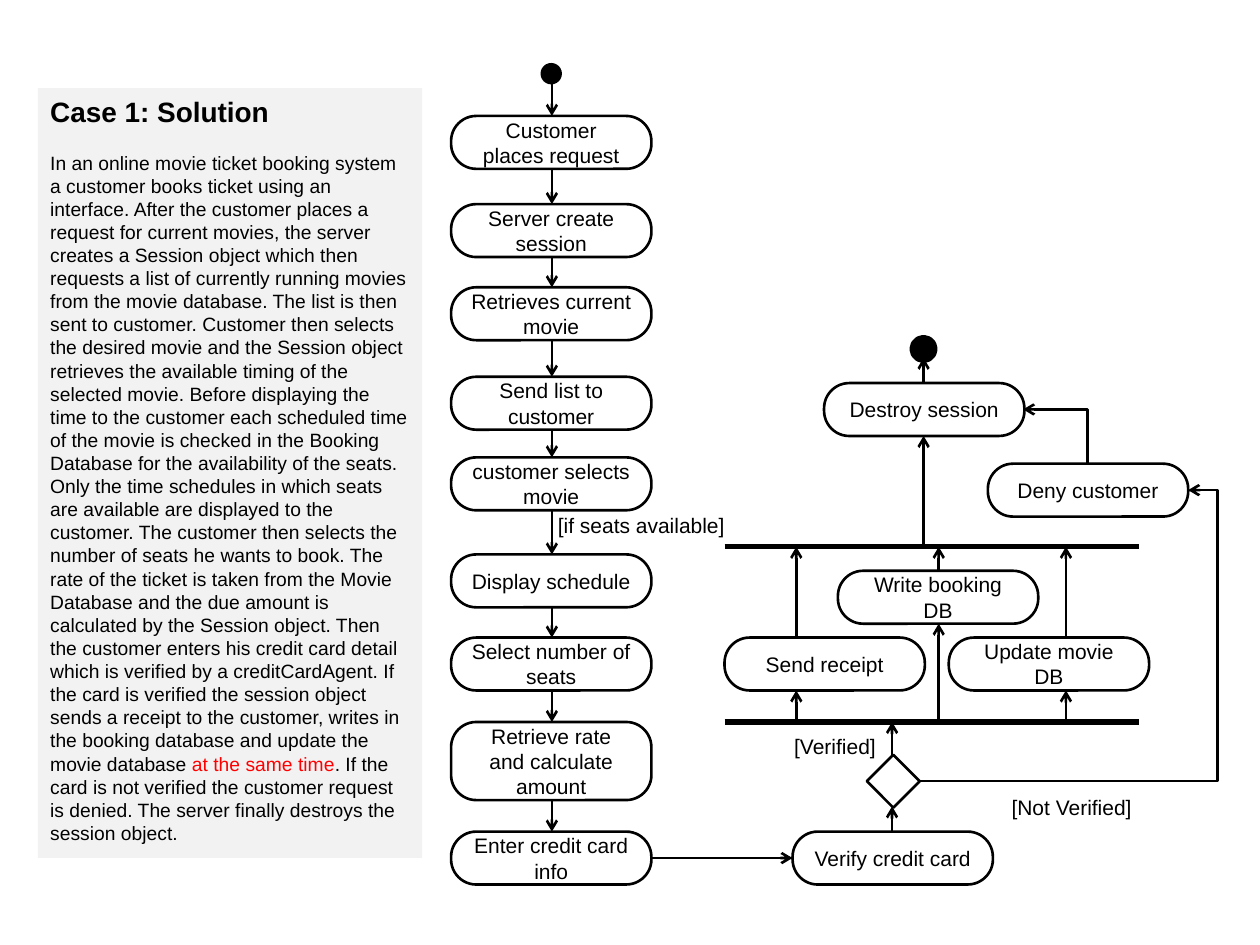
from itertools import pairwise

from lxml import etree
from pptx import Presentation
from pptx.dml.color import RGBColor
from pptx.enum.shapes import MSO_CONNECTOR as CONN, MSO_SHAPE as SHAPE
from pptx.enum.text import MSO_ANCHOR as ANCHOR, PP_ALIGN as ALIGN
from pptx.oxml.ns import qn
from pptx.util import Inches, Pt

BLACK = RGBColor(0, 0, 0)
RED = RGBColor(255, 0, 0)
PANEL = RGBColor(0xF2, 0xF2, 0xF2)
STEP_W, STEP_H, RADIUS = 1.59, 0.42, 0.2
FLOW_X, FLOW_MID = 3.58, 4.38
FORK_Y, JOIN_Y = 5.73, 4.34

FLOW = [
    ("Customer\nplaces request", 0.92, STEP_H),
    ("Server create session", 1.62, STEP_H),
    ("Retrieves current movie", 2.28, STEP_H),
    ("Send list to customer", 2.99, STEP_H),
    ("customer selects movie", 3.63, STEP_H),
    ("Display schedule", 4.4, STEP_H),
    ("Select number of seats", 5.06, STEP_H),
    ("Retrieve rate and calculate amount", FORK_Y, 0.62),
    ("Enter credit card info", 6.6, STEP_H),
]
BRANCHES = [
    ("Verify credit card", 6.29, 6.6),
    ("Send receipt", 5.75, 5.06),
    ("Write booking DB", 6.65, 4.53),
    ("Update movie DB", 7.53, 5.06),
    ("Deny customer", 7.84, 3.68),
    ("Destroy session", 6.54, 3.04),
]
PARALLEL = [(6.32, 5.06), (7.45, 4.53), (8.46, 5.06)]
STORY = [
    "In an online movie ticket booking system a customer books ticket using an interface.",
    "After the customer places a request for current movies, the server creates a Session "
    "object which then requests a list of currently running movies from the movie database.",
    "The list is then sent to customer.",
    "Customer then selects the desired movie and the Session object retrieves the available "
    "timing of the selected movie.",
    "Before displaying the time to the customer each scheduled time of the movie is checked "
    "in the Booking Database for the availability of the seats.",
    "Only the time schedules in which seats are available are displayed to the customer.",
    "The customer then selects the number of seats he wants to book.",
    "The rate of the ticket is taken from the Movie Database and the due amount is "
    "calculated by the Session object.",
    "Then the customer enters his credit card detail which is verified by a creditCardAgent.",
    "If the card is verified the session object sends a receipt to the customer, writes in "
    "the booking database and update the movie database ",
]
ENDING = (
    ". If the card is not verified the customer request is denied. "
    "The server finally destroys the session object."
)


def add_text(p, text, size=12, color=BLACK, bold=False, align=ALIGN.LEFT):
    """Append a formatted run to a paragraph."""
    p.alignment = align
    r = p.add_run()
    r.text = text
    r.font.name = "Arial"
    r.font.size = Pt(size)
    r.font.bold = bold
    r.font.color.rgb = color


def add_shape(s, kind, x, y, w, h, fill=None, line=None):
    """Add a preset shape with an optional fill and black outline."""
    sp = s.shapes.add_shape(kind, Inches(x), Inches(y), Inches(w), Inches(h))
    sp.shadow.inherit = False
    if fill is None:
        sp.fill.background()
    else:
        sp.fill.solid()
        sp.fill.fore_color.rgb = fill
    if line is None:
        sp.line.fill.background()
    else:
        sp.line.color.rgb = BLACK
        sp.line.width = Pt(line)
    return sp


def add_step(s, text, x, y, h=STEP_H):
    """Add a rounded activity box with centred text."""
    sp = add_shape(s, SHAPE.ROUNDED_RECTANGLE, x, y, STEP_W, h, line=1.5)
    sp.adjustments[0] = RADIUS / h
    tf = sp.text_frame
    tf.word_wrap = True
    tf.vertical_anchor = ANCHOR.MIDDLE
    for i, part in enumerate(text.split("\n")):
        p = tf.add_paragraph() if i else tf.paragraphs[0]
        add_text(p, part, align=ALIGN.CENTER)


def add_line(s, x1, y1, x2, y2, width=1.5, arrow=True, kind=CONN.STRAIGHT):
    """Add a black connector, with an open arrowhead by default."""
    c = s.shapes.add_connector(kind, Inches(x1), Inches(y1), Inches(x2), Inches(y2))
    c.line.color.rgb = BLACK
    c.line.width = Pt(width)
    if arrow:
        etree.SubElement(c.line._get_or_add_ln(), qn("a:tailEnd"), type="arrow")
    etree.SubElement(c._element.spPr, qn("a:effectLst"))
    return c


def add_elbow(s, x, y, w, h, preset, rot=0, bend=None):
    """Add an arrow with square bends that rises across its frame."""
    c = add_line(s, x, y + h, x + w, y, kind=CONN.ELBOW)
    geom = c._element.spPr.find(qn("a:prstGeom"))
    geom.set("prst", preset)
    if rot:
        c._element.spPr.find(qn("a:xfrm")).set("rot", str(rot * 60000))
    if bend is not None:
        av = geom.find(qn("a:avLst"))
        if av is None:
            av = etree.SubElement(geom, qn("a:avLst"))
        etree.SubElement(av, qn("a:gd"), name="adj1", fmla=f"val {round(bend * 100000)}")


def add_label(s, text, x, y, w, align=ALIGN.LEFT):
    """Add a guard label."""
    tf = s.shapes.add_textbox(Inches(x), Inches(y), Inches(w), Inches(0.3)).text_frame
    tf.word_wrap = True
    add_text(tf.paragraphs[0], text, align=align)


def add_panel(s):
    """Add the grey panel with the heading and the case text."""
    tf = add_shape(s, SHAPE.RECTANGLE, 0.3, 0.7, 3.05, 6.11, fill=PANEL).text_frame
    tf.word_wrap = True
    tf.vertical_anchor = ANCHOR.TOP
    add_text(tf.paragraphs[0], "Case 1: Solution", size=16, bold=True)
    p = tf.add_paragraph()
    p.space_before = Pt(13)
    add_text(p, " ".join(STORY), size=11)
    add_text(p, "at the same time", size=11, color=RED)
    add_text(p, ENDING, size=11)


def add_flow(s):
    """Add the start node and the main column of activities."""
    add_shape(s, SHAPE.OVAL, 4.29, 0.5, 0.17, 0.17, fill=BLACK)
    add_line(s, FLOW_MID, 0.67, FLOW_MID, FLOW[0][1])
    for text, y, h in FLOW:
        add_step(s, text, FLOW_X, y, h)
    for (_, y, h), (_, below, _) in pairwise(FLOW):
        add_line(s, FLOW_MID, y + h, FLOW_MID, below)
    add_label(s, "[if seats available]", 4.33, 4.02, 1.67)


def add_branches(s):
    """Add the card check, the parallel activities and the end node."""
    for step in BRANCHES:
        add_step(s, *step)
    add_line(s, FLOW_X + STEP_W, 6.81, 6.29, 6.81)
    add_shape(s, SHAPE.DIAMOND, 6.88, 5.99, 0.42, 0.42, line=1.5)
    add_line(s, 7.08, 6.6, 7.08, 6.4)
    add_line(s, 7.08, 5.99, 7.08, FORK_Y)
    for y in (FORK_Y, JOIN_Y):
        add_line(s, 5.75, y, 9.04, y, width=3, arrow=False)
    for x, y in PARALLEL:
        add_line(s, x, FORK_Y, x, y + STEP_H)
        add_line(s, x, y, x, JOIN_Y)
    add_line(s, 7.33, JOIN_Y, 7.33, 3.46)
    add_elbow(s, 7.29, 3.89, 2.14, 2.31, "bentConnector3", bend=1.11)
    add_elbow(s, 8.16, 3.21, 0.43, 0.51, "bentConnector2", rot=270)
    add_shape(s, SHAPE.OVAL, 7.26, 2.7, 0.14, 0.14, fill=BLACK, line=6)
    add_line(s, 7.33, 3.04, 7.33, 2.84)
    add_label(s, "[Verified]", 6.19, 5.77, 0.86, align=ALIGN.RIGHT)
    add_label(s, "[Not Verified]", 7.93, 6.26, 1.26)


def main():
    """Build the activity diagram slide."""
    prs = Presentation()
    prs.slide_width, prs.slide_height = Inches(10), Inches(7.5)
    s = prs.slides.add_slide(prs.slide_layouts[6])
    add_panel(s)
    add_flow(s)
    add_branches(s)
    prs.save("out.pptx")


if __name__ == "__main__":
    main()
